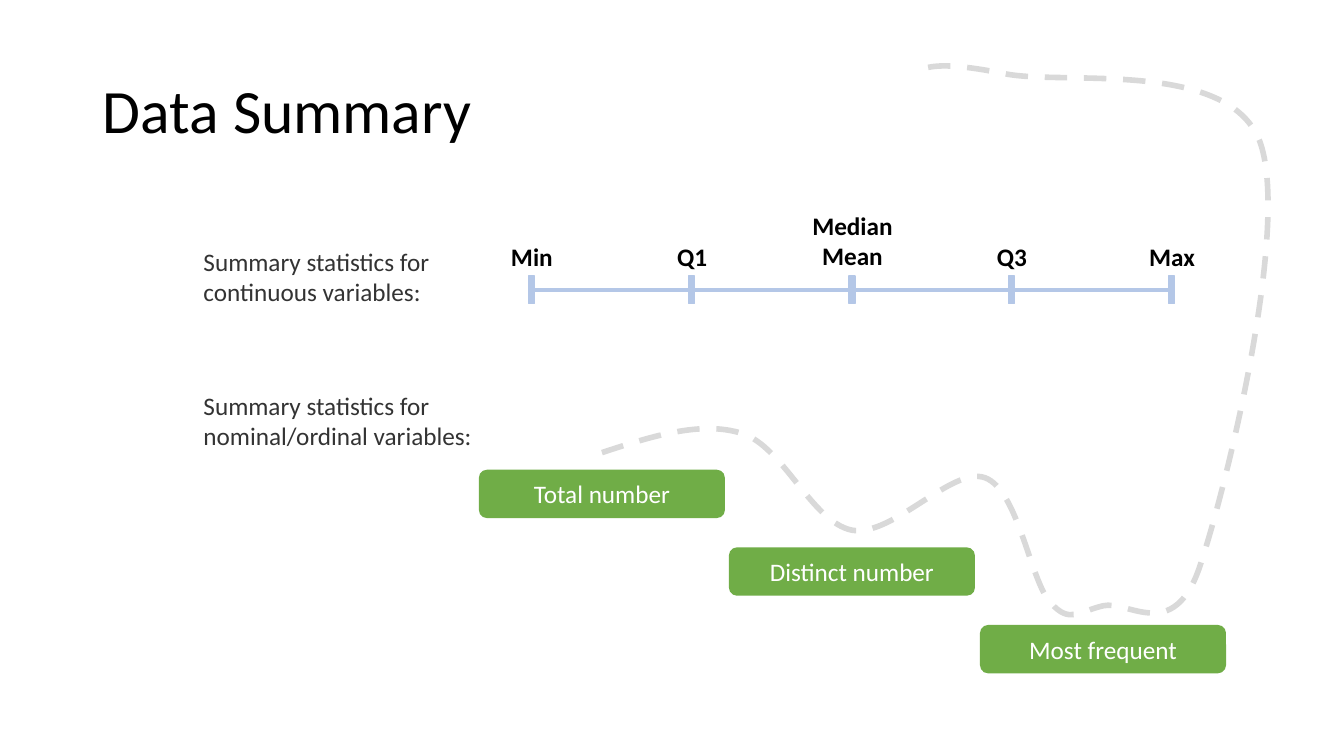
"""Build the data summary slide."""
from dataclasses import dataclass

from lxml.etree import SubElement
from pptx import Presentation
from pptx.dml.color import RGBColor
from pptx.enum.dml import MSO_LINE_DASH_STYLE as Dash
from pptx.enum.shapes import MSO_CONNECTOR as Link, MSO_SHAPE as Preset
from pptx.enum.text import MSO_ANCHOR as Anchor, MSO_AUTO_SIZE as Fit, PP_ALIGN as Align
from pptx.oxml.ns import qn
from pptx.shapes.autoshape import Shape
from pptx.slide import Slide
from pptx.util import Pt

PX = 9144
FONT = "Calibri"
COLORS = {
    "title": "000000",
    "caption": "333333",
    "scale": "B4C7E7",
    "button": "70AD47",
    "button_text": "FFFFFF",
    "trail": "D9D9D9",
}


@dataclass(frozen=True)
class Box:
    left: int
    top: int
    width: int
    height: int

    def emu(self) -> tuple[int, ...]:
        return tuple(side * PX for side in (self.left, self.top, self.width, self.height))


@dataclass(frozen=True)
class Caption:
    text: str
    box: Box


@dataclass(frozen=True)
class Mark:
    text: str
    width: int = 79
    height: int = 40


CAPTIONS = [
    Caption("Summary statistics for continuous variables:", Box(192, 239, 264, 71)),
    Caption("Summary statistics for nominal/ordinal variables:", Box(192, 382, 293, 71)),
]
MARKS = [Mark("Min"), Mark("Q1"), Mark("Median\nMean", 109, 71), Mark("Q3"), Mark("Max")]
BUTTONS = ["Total number", "Distinct number", "Most frequent"]
TICK = Box(524, 274, 6, 27)
SCALE_SPAN = 635
TRAIL_BOX = Box(597, 65, 661, 545)
TRAIL_START = (597, 449)
TRAIL_CURVES = [
    ((646, 433), (695, 417), (736, 430)),
    ((777, 443), (805, 518), (845, 526)),
    ((885, 533), (945, 462), (977, 474)),
    ((1010, 486), (1022, 577), (1042, 598)),
    ((1061, 619), (1069, 607), (1094, 601)),
    ((1119, 595), (1164, 639), (1190, 562)),
    ((1216, 485), (1281, 221), (1249, 139)),
    ((1216, 58), (1052, 85), (996, 73)),
    ((940, 62), (926, 65), (912, 69)),
]


def color(name: str) -> RGBColor:
    return RGBColor.from_string(COLORS[name])


def write(shape: Shape, text: str, *, ink: str, size: int = 18, bold: bool = False,
          align: Align = Align.LEFT, anchor: Anchor = Anchor.TOP,
          fit: Fit = Fit.NONE, spacing: float = 1.0) -> None:
    frame = shape.text_frame
    frame.text = text
    frame.word_wrap = True
    frame.auto_size = fit
    frame.vertical_anchor = anchor
    for para in frame.paragraphs:
        para.alignment = align
        para.line_spacing = spacing
        for span in para.runs:
            span.font.name = FONT
            span.font.size = Pt(size)
            span.font.bold = bold
            span.font.color.rgb = color(ink)


def add_filled(page: Slide, preset: Preset, box: Box, fill: str) -> Shape:
    shape = page.shapes.add_shape(preset, *box.emu())
    shape.shadow.inherit = False
    shape.fill.solid()
    shape.fill.fore_color.rgb = color(fill)
    shape.line.fill.background()
    return shape


def add_title(page: Slide) -> None:
    title = page.shapes.title
    title.left, title.top, title.width, title.height = Box(92, 40, 1150, 145).emu()
    write(title, "Data Summary", ink="title", size=44, anchor=Anchor.MIDDLE, spacing=0.9)


def add_caption(page: Slide, caption: Caption) -> None:
    shape = page.shapes.add_textbox(*caption.box.emu())
    write(shape, caption.text, ink="caption", fit=Fit.SHAPE_TO_FIT_TEXT)


def add_scale(page: Slide) -> None:
    middle = TICK.top + TICK.height // 2
    ends = (TICK.left, middle, TICK.left + SCALE_SPAN, middle)
    axis = page.shapes.add_connector(Link.STRAIGHT, *(end * PX for end in ends))
    axis.line.color.rgb = color("scale")
    axis.line.width = Pt(3)
    SubElement(axis._element.spPr, qn("a:effectLst"))
    ticks = []
    for index, mark in enumerate(MARKS):
        left = TICK.left + round(index * SCALE_SPAN / (len(MARKS) - 1))
        tick = add_filled(page, Preset.RECTANGLE,
                          Box(left, TICK.top, TICK.width, TICK.height), "scale")
        tick.line.color.rgb = color("scale")
        tick.line.width = Pt(1)
        ticks.append(tick)
        center = left + TICK.width // 2
        label = page.shapes.add_textbox(*Box(
            center - mark.width // 2, TICK.top - mark.height, mark.width, mark.height).emu())
        write(label, mark.text, ink="title", bold=True, align=Align.CENTER,
              anchor=Anchor.MIDDLE, fit=Fit.SHAPE_TO_FIT_TEXT)
    axis.begin_connect(ticks[0], 3)
    axis.end_connect(ticks[-1], 1)


def add_button(page: Slide, index: int, text: str) -> None:
    box = Box(475 + index * 497 // 2, 466 + index * 77, 244, 48)
    button = add_filled(page, Preset.ROUNDED_RECTANGLE, box, "button")
    write(button, text, ink="button_text", align=Align.CENTER, anchor=Anchor.MIDDLE)


def add_trail(page: Slide) -> None:
    builder = page.shapes.build_freeform(*TRAIL_START, scale=PX)
    builder.add_line_segments([curve[-1] for curve in TRAIL_CURVES], close=False)
    trail = builder.convert_to_shape()
    trail.left, trail.top, trail.width, trail.height = TRAIL_BOX.emu()
    outline = next(trail._element.iter(qn("a:path")))
    outline.set("w", str(TRAIL_BOX.width))
    outline.set("h", str(TRAIL_BOX.height))
    for step in list(outline):
        outline.remove(step)
    for tag, points in [("a:moveTo", [TRAIL_START]),
                        *(("a:cubicBezTo", curve) for curve in TRAIL_CURVES)]:
        step = SubElement(outline, qn(tag))
        for x, y in points:
            SubElement(step, qn("a:pt"), x=str(x - TRAIL_BOX.left), y=str(y - TRAIL_BOX.top))
    trail.shadow.inherit = False
    trail.fill.background()
    trail.line.color.rgb = color("trail")
    trail.line.width = Pt(4)
    trail.line.dash_style = Dash.DASH


def main() -> None:
    deck = Presentation()
    deck.slide_width, deck.slide_height = 1333 * PX, 750 * PX
    page = deck.slides.add_slide(deck.slide_layouts[5])
    add_title(page)
    for caption in CAPTIONS:
        add_caption(page, caption)
    add_scale(page)
    for index, text in enumerate(BUTTONS):
        add_button(page, index, text)
    add_trail(page)
    deck.save("out.pptx")


if __name__ == "__main__":
    main()
